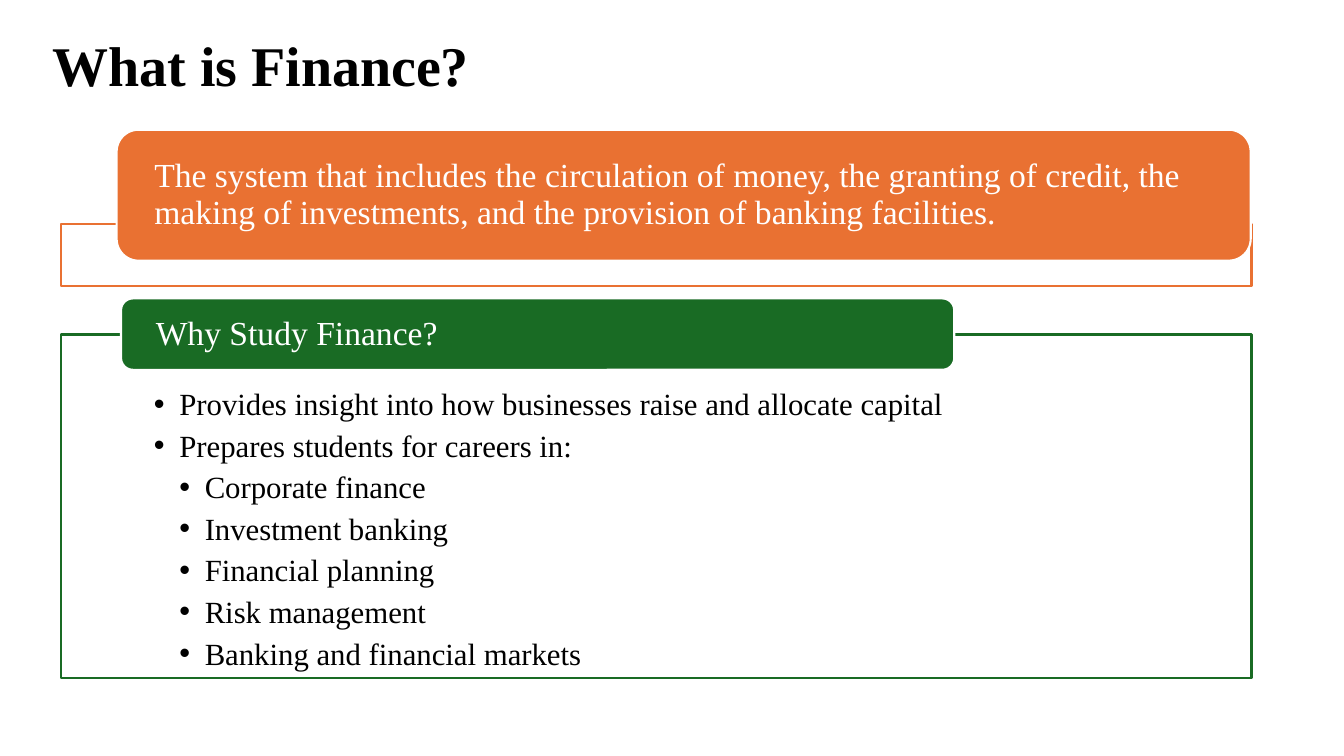
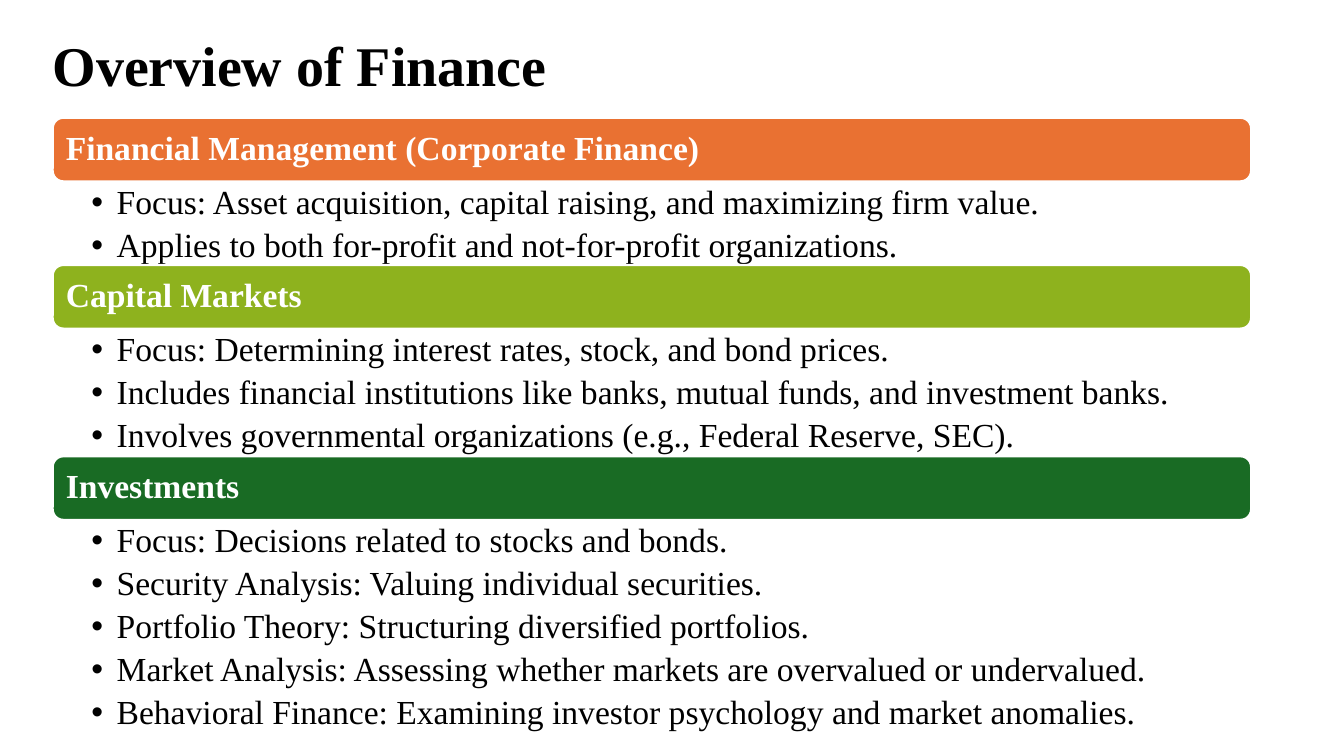
import pptx
import pptx.util
import pptx.dml.color
import pptx.enum.shapes
import pptx.enum.text
import lxml.etree
from pptx.oxml.ns import qn

Cm = pptx.util.Cm
Pt = pptx.util.Pt
RGBColor = pptx.dml.color.RGBColor
MSO_ANCHOR = pptx.enum.text.MSO_ANCHOR
PP_ALIGN = pptx.enum.text.PP_ALIGN
MSO_SHAPE = pptx.enum.shapes.MSO_SHAPE

FONT = "Times New Roman"
BLACK = RGBColor(0x00, 0x00, 0x00)
WHITE = RGBColor(0xFF, 0xFF, 0xFF)
ORANGE = RGBColor(0xE9, 0x71, 0x32)
LIME = RGBColor(0x8E, 0xB2, 0x1E)
GREEN = RGBColor(0x19, 0x6B, 0x24)

TITLE_AREA = (1.07, 0.3, 30.45, 2.31)
INDENT = 0.64
BORDER = Pt(1.5)

FRAME_LEFT, FRAME_WIDTH = 1.54, 30
SECTION_LEFT, SECTION_WIDTH, BAR_HEIGHT = 1.33, 30.2, 1.6

TITLES = ["What is Finance?", "Overview of Finance"]
LAYOUTS = [1, 4]  # Title and Content, Comparison

DEFINITION = ("The system that includes the circulation of money, the granting of credit, "
              "the making of investments, and the provision of banking facilities.")
REASONS = [
    (0, "Provides insight into how businesses raise and allocate capital"),
    (0, "Prepares students for careers in:"),
    (1, "Corporate finance"),
    (1, "Investment banking"),
    (1, "Financial planning"),
    (1, "Risk management"),
    (1, "Banking and financial markets"),
]
# heading, colour, height of the list, list lines
SECTIONS = [
    ("Financial Management (Corporate Finance)", ORANGE, 2.11, [
        "Focus: Asset acquisition, capital raising, and maximizing firm value.",
        "Applies to both for-profit and not-for-profit organizations.",
    ]),
    ("Capital Markets", LIME, 3.22, [
        "Focus: Determining interest rates, stock, and bond prices.",
        "Includes financial institutions like banks, mutual funds, and investment banks.",
        "Involves governmental organizations (e.g., Federal Reserve, SEC).",
    ]),
    ("Investments", GREEN, 5.26, [
        "Focus: Decisions related to stocks and bonds.",
        "Security Analysis: Valuing individual securities.",
        "Portfolio Theory: Structuring diversified portfolios.",
        "Market Analysis: Assessing whether markets are overvalued or undervalued.",
        "Behavioral Finance: Examining investor psychology and market anomalies.",
    ]),
]


def add_panel(page, shape_kind, area, fill, line, text="", inset=0.0, bold=False):
    """Add a filled, outlined shape with optional white text at the left."""
    box = page.shapes.add_shape(shape_kind, *map(Cm, area))
    box.shadow.inherit = False
    box.fill.solid()
    box.fill.fore_color.rgb = fill
    box.line.color.rgb = line
    box.line.width = BORDER
    if text:
        frame = box.text_frame
        frame.word_wrap = True
        frame.vertical_anchor = MSO_ANCHOR.MIDDLE
        frame.margin_left = frame.margin_right = Cm(inset)
        frame.margin_top = frame.margin_bottom = 0
        para = frame.paragraphs[0]
        para.text = text
        para.alignment = PP_ALIGN.LEFT
        para.line_spacing = 0.9
        para.font.name = FONT
        para.font.size = Pt(24)
        para.font.bold = bold
        para.font.color.rgb = WHITE


def fill_list(body, area, insets, lines, size, line_spacing, gap):
    """Place a body placeholder and fill it with (level, text) bullets."""
    body.left, body.top, body.width, body.height = map(Cm, area)
    frame = body.text_frame
    frame.word_wrap = True
    frame.auto_size = pptx.enum.text.MSO_AUTO_SIZE.NONE
    frame.vertical_anchor = MSO_ANCHOR.TOP
    (frame.margin_left, frame.margin_top,
     frame.margin_right, frame.margin_bottom) = map(Cm, insets)
    for number, (level, text) in enumerate(lines):
        para = frame.add_paragraph() if number else frame.paragraphs[0]
        para.text = text
        para.level = level
        para.line_spacing = line_spacing
        para.space_before = Pt(0)
        para.space_after = Pt(gap)
        properties = para._p.get_or_add_pPr()
        properties.set("marL", str(Cm(INDENT * (level + 1))))
        properties.set("indent", str(-Cm(INDENT)))
        lxml.etree.SubElement(properties, qn("a:buFont")).set("typeface", "Arial")
        lxml.etree.SubElement(properties, qn("a:buChar")).set("char", "•")
        para.font.name = FONT
        para.font.size = Pt(size)
        para.font.bold = False
        para.font.color.rgb = BLACK


deck = pptx.Presentation()
deck.slide_width, deck.slide_height = Cm(33.87), Cm(19.05)

pages = []
for title_text, layout in zip(TITLES, LAYOUTS):
    page = deck.slides.add_slide(deck.slide_layouts[layout])
    title = page.shapes.title
    title.left, title.top, title.width, title.height = map(Cm, TITLE_AREA)
    title.text_frame.vertical_anchor = MSO_ANCHOR.BOTTOM
    para = title.text_frame.paragraphs[0]
    para.text = title_text
    para.alignment = PP_ALIGN.LEFT
    para.line_spacing = 0.9
    para.font.name = FONT
    para.font.size = Pt(40)
    para.font.bold = True
    para.font.color.rgb = BLACK
    pages.append(page)
what_page, overview_page = pages

# What is Finance?
reasons = what_page.placeholders[1]
fill_list(reasons, (FRAME_LEFT, 8.43, FRAME_WIDTH, 8.66), (2.34, 1.27, 2.34, 0.43),
          REASONS, 22, 1.0, 3.3)
reasons.line.color.rgb = GREEN
reasons.line.width = BORDER
add_panel(what_page, MSO_SHAPE.RECTANGLE, (FRAME_LEFT, 5.65, FRAME_WIDTH, 1.55), WHITE, ORANGE)
add_panel(what_page, MSO_SHAPE.ROUNDED_RECTANGLE, (2.94, 3.27, 28.58, 3.3),
          ORANGE, WHITE, DEFINITION, 0.79)
add_panel(what_page, MSO_SHAPE.ROUNDED_RECTANGLE, (3.05, 7.52, 21, 1.8),
          GREEN, WHITE, "Why Study Finance?", 0.79)

# Overview of Finance
title, *bodies = overview_page.placeholders
top = 2.97
for body, (heading, color, list_height, lines) in zip(bodies, SECTIONS):
    add_panel(overview_page, MSO_SHAPE.ROUNDED_RECTANGLE,
              (SECTION_LEFT, top, SECTION_WIDTH, BAR_HEIGHT), color, WHITE, heading, 0.25, True)
    top += BAR_HEIGHT
    fill_list(body, (SECTION_LEFT, top, SECTION_WIDTH, list_height), (0.97, 0.1, 0.61, 0.1),
              [(0, line) for line in lines], 24, 0.9, 4.8)
    top += list_height
for spare in bodies[len(SECTIONS):]:
    spare.element.getparent().remove(spare.element)

deck.save("out.pptx")
